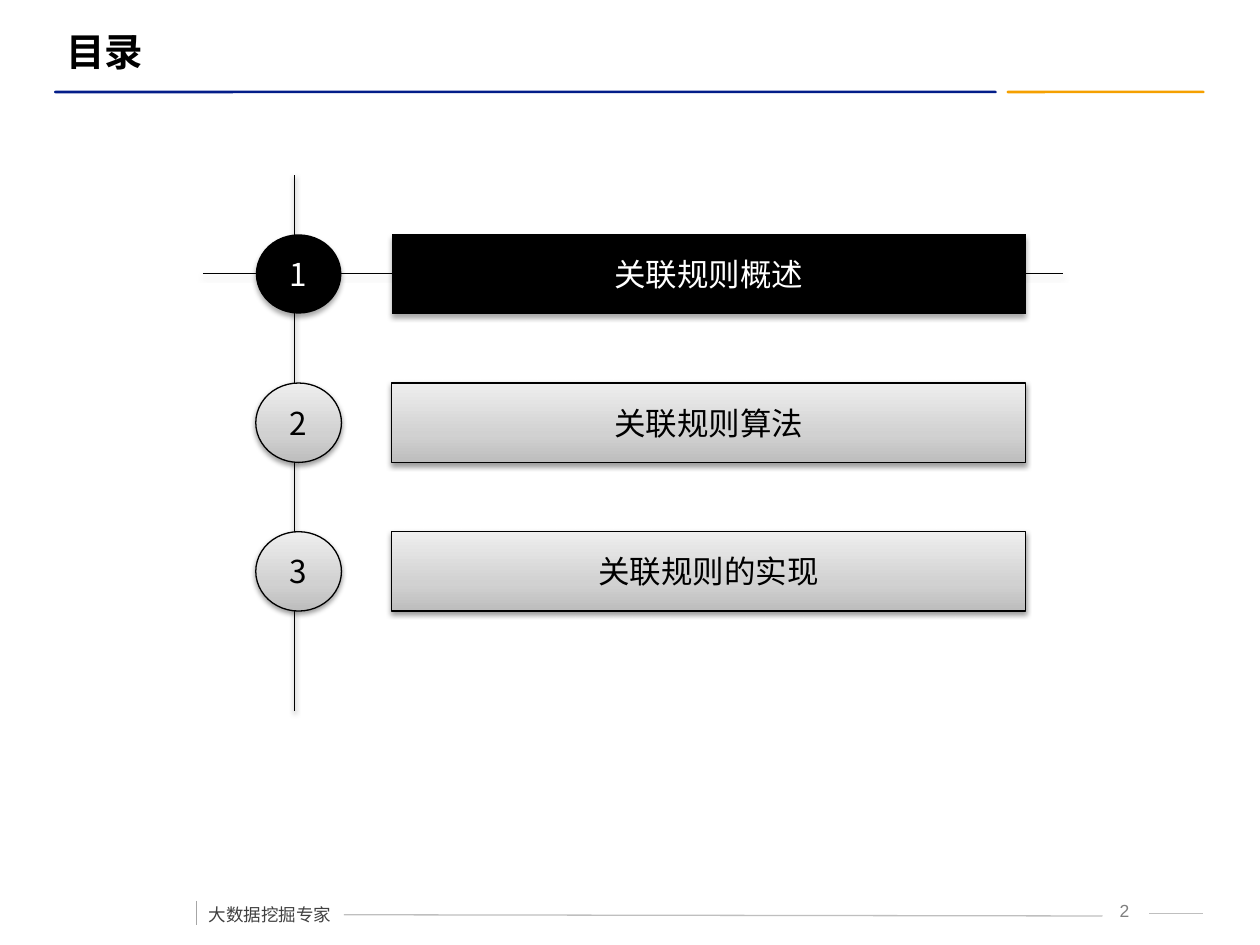
from lxml import etree
from pptx import Presentation
from pptx.dml.color import RGBColor
from pptx.enum import shapes, text
from pptx.oxml import ns, parse_xml
from pptx.util import Inches, Pt

BLACK = RGBColor(0x00, 0x00, 0x00)
WHITE = RGBColor(0xFF, 0xFF, 0xFF)
BLUE = RGBColor(0x03, 0x1D, 0x89)
ORANGE = RGBColor(0xF5, 0xA0, 0x00)
RULE_GRAY = RGBColor(0xBF, 0xBF, 0xBF)
BAR_GRAY = RGBColor(0xA6, 0xA6, 0xA6)
FOOTER_GRAY = RGBColor(0x40, 0x40, 0x40)
NUMBER_GRAY = RGBColor(0x7F, 0x7F, 0x7F)
GRADIENT = [(0, RGBColor(0xBD, 0xBD, 0xBD)), (35, RGBColor(0xD1, 0xD1, 0xD1)),
            (100, RGBColor(0xEE, 0xEE, 0xEE))]
CJK = "Noto Sans CJK SC"
AGENDA = [("关联规则概述", "Calibri"), ("关联规则算法", "Calibri"), ("关联规则的实现", CJK)]
FIRST_TOP, STEP, HEIGHT = 1.86, 1.18, 0.63


def add_shadow(item, distance=1.6, alpha=38):
    """Give a shape or connector a soft shadow straight below it."""
    properties = item._element.spPr
    effects = properties.find(ns.qn("a:effectLst"))
    if effects is None:
        effects = etree.SubElement(properties, ns.qn("a:effectLst"))
    shadow = etree.SubElement(
        effects, ns.qn("a:outerShdw"), blurRad=str(Pt(3.1)), dist=str(Pt(distance)),
        dir="5400000", rotWithShape="0")
    color = etree.SubElement(shadow, ns.qn("a:srgbClr"), val=str(BLACK))
    etree.SubElement(color, ns.qn("a:alpha"), val=str(alpha * 1000))


def fill_gradient(shape):
    """Fill a shape with the gray gradient, dark at the bottom."""
    stops = "".join(f'<a:gs pos="{position * 1000}"><a:srgbClr val="{color}"/></a:gs>'
                    for position, color in GRADIENT)
    shape.fill.background()
    blank = shape._element.spPr.find(ns.qn("a:noFill"))
    blank.getparent().replace(blank, parse_xml(
        f'<a:gradFill {ns.nsdecls("a")} rotWithShape="1"><a:gsLst>{stops}</a:gsLst>'
        '<a:lin ang="16200000" scaled="0"/></a:gradFill>'))


def write(box, words, size, font, color, align=text.PP_ALIGN.LEFT, bold=False):
    """Write one paragraph into a box and return the paragraph."""
    para = box.text_frame.paragraphs[0]
    span = para.add_run()
    span.text = words
    para.alignment = align
    para.font.size, para.font.bold, para.font.name = Pt(size), bold, font
    para.font.color.rgb = color
    span.font.size, span.font.bold, span.font.name = Pt(size), bold, font
    span.font.color.rgb = color
    east_asian = etree.Element(ns.qn("a:ea"), typeface=CJK)
    span._r.rPr.find(ns.qn("a:latin")).addnext(east_asian)
    return para


def add_text(page, place, words, size, font, color, wrap=True, **style):
    """Add a text box and return it with its paragraph."""
    box = page.shapes.add_textbox(*map(Inches, place))
    box.text_frame.word_wrap = wrap
    return box, write(box, words, size, font, color, **style)


def add_line(page, start, end, color):
    """Add a thin straight line."""
    line = page.shapes.add_connector(
        shapes.MSO_CONNECTOR.STRAIGHT, *map(Inches, start + end))
    line.line.color.rgb = color
    line.line.width = Pt(0.75)
    etree.SubElement(line._element.spPr, ns.qn("a:effectLst"))
    return line


def add_title_bar(page, left, width, color):
    """Add one rounded bar under the title."""
    bar = page.shapes.add_shape(shapes.MSO_SHAPE.ROUNDED_RECTANGLE,
                                *map(Inches, (left, 0.72, width, 0.02)))
    bar.adjustments[0] = 0.5
    bar.shadow.inherit = False
    bar.fill.solid()
    bar.fill.fore_color.rgb = color
    bar.line.fill.background()


def add_agenda_shape(page, kind, place, words, font, active):
    """Add a circle or button, black when it is the active entry."""
    shape = page.shapes.add_shape(kind, *map(Inches, place))
    shape.shadow.inherit = False
    if active:
        shape.fill.solid()
        shape.fill.fore_color.rgb = BLACK
        shape.line.fill.background()
        add_shadow(shape, 1.8, 35)
    else:
        fill_gradient(shape)
        shape.line.color.rgb = BLACK
        shape.line.width = Pt(0.75)
        add_shadow(shape)
    shape.text_frame.word_wrap = False
    shape.text_frame.vertical_anchor = text.MSO_ANCHOR.MIDDLE
    write(shape, words, 18, font, WHITE if active else BLACK, text.PP_ALIGN.CENTER)


def add_frame(page):
    """Add the title, its bars and the footer."""
    add_title_bar(page, 7.99, 1.57, ORANGE)
    add_title_bar(page, 0.43, 7.48, BLUE)
    add_text(page, (8.67, 7.09, 0.47, 0.25), " 2", 10, "Arial", NUMBER_GRAY,
             align=text.PP_ALIGN.CENTER)
    add_line(page, (2.73, 7.26), (8.75, 7.27), RULE_GRAY)
    add_line(page, (9.12, 7.25), (9.55, 7.25), RULE_GRAY)
    add_line(page, (1.56, 7.15), (1.56, 7.34), BAR_GRAY)
    footer, para = add_text(page, (1.56, 7.04, 1.18, 0.35), "大数据挖掘专家", 10, CJK,
                            FOOTER_GRAY, wrap=False)
    footer.text_frame.auto_size = text.MSO_AUTO_SIZE.SHAPE_TO_FIT_TEXT
    para.line_spacing, para.space_before = 1.5, Pt(6)
    title, _ = add_text(page, (0.43, 0.17, 8.82, 0.47), "目录", 22, "Arial", BLACK, bold=True)
    title.text_frame.vertical_anchor = text.MSO_ANCHOR.MIDDLE


def add_agenda(page):
    """Add the crossing lines and the numbered entries."""
    for start, end in (((2.34, 1.39), (2.34, 5.64)), ((1.61, 2.17), (8.44, 2.17))):
        add_shadow(add_line(page, start, end, BLACK))
    for index, (words, font) in enumerate(AGENDA):
        top = FIRST_TOP + index * STEP
        active = index == 0
        add_agenda_shape(page, shapes.MSO_SHAPE.OVAL, (2.03, top, 0.68, HEIGHT),
                         str(index + 1), CJK, active)
        add_agenda_shape(page, shapes.MSO_SHAPE.ACTION_BUTTON_CUSTOM,
                         (3.11, top, 5.03, HEIGHT), words, font, active)


def main():
    """Build and save the slide."""
    deck = Presentation()
    deck.slide_width, deck.slide_height = Inches(10), Inches(7.5)
    page = deck.slides.add_slide(deck.slide_layouts[6])
    add_frame(page)
    add_agenda(page)
    deck.save("out.pptx")


main()
